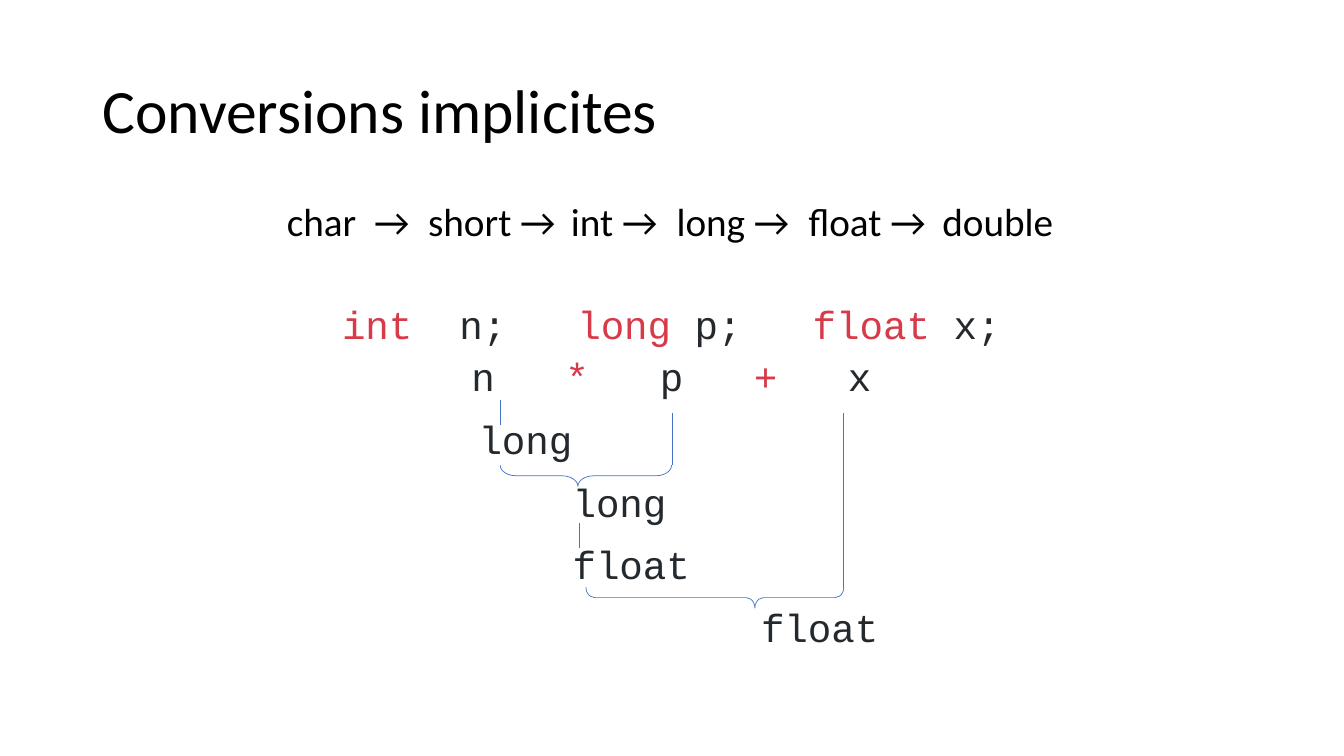
from dataclasses import dataclass
from typing import Any

from lxml import etree
from pptx import Presentation
from pptx.dml.color import RGBColor
from pptx.enum.shapes import MSO_CONNECTOR, MSO_SHAPE
from pptx.enum.text import MSO_ANCHOR
from pptx.oxml.ns import qn
from pptx.util import Cm, Pt

STRAIGHT = MSO_CONNECTOR.STRAIGHT
RIGHT_BRACE = MSO_SHAPE.RIGHT_BRACE
TOP, MIDDLE = MSO_ANCHOR.TOP, MSO_ANCHOR.MIDDLE


@dataclass(frozen=True)
class Theme:
    title_size: float = 44
    body_size: float = 28
    line_width: float = 0.5
    text_font: str = "Calibri"
    code_font: str = "Courier New"
    black: str = "000000"
    code: str = "24292E"
    keyword: str = "D73A49"
    line: str = "4472C4"


@dataclass(frozen=True)
class Segment:
    stop: float
    text: str
    color: str
    suffix: str = ""


@dataclass(frozen=True)
class TextLine:
    segments: list[Segment]
    space_before: float
    font: str


@dataclass(frozen=True)
class Brace:
    left: float
    top: float
    width: float
    height: float
    curve: float
    point: float


@dataclass(frozen=True)
class Stem:
    x: float
    top: float
    bottom: float


THEME = Theme()
CODE_LEFT = 6.04
CHARACTER_WIDTH = 0.593


def code(column: float, text: str, color: str = THEME.code, suffix: str = "") -> Segment:
    return Segment(round(CODE_LEFT + column * CHARACTER_WIDTH, 2), text, color, suffix)


PROMOTIONS = [(4.65, "char"), (6.85, "→"), (8.21, "short →"), (11.81, "int →"),
              (14.47, "long →"), (17.8, "float →"), (21.17, "double")]
DECLARATIONS = [
    code(0, "int", THEME.keyword),
    code(5, "n;"),
    code(10, "long", THEME.keyword, " p;"),
    code(20, "float", THEME.keyword, " x;"),
]
EXPRESSION = [
    code(5.5 + 4 * index, symbol, THEME.keyword if symbol in "*+" else THEME.code)
    for index, symbol in enumerate("n*p+x")
]
RESULTS = [(5.8, "long"), (9.8, "long"), (9.8, "float"), (17.8, "float")]
LINES = [
    TextLine([Segment(stop, text, THEME.black) for stop, text in PROMOTIONS],
             10, THEME.text_font),
    TextLine(DECLARATIONS, 47, THEME.code_font),
    TextLine(EXPRESSION, 10, THEME.code_font),
    *[TextLine([code(column, text)], 18, THEME.code_font) for column, text in RESULTS],
]
BRACES = [
    Brace(14.5, 9.83, 0.53, 4.32, 0.755, 0.547),
    Brace(17.75, 11.81, 0.53, 6.5, 0.408, 0.345),
]
STEMS = [
    Stem(16.94, 10.41, 11.71),
    Stem(21.26, 10.41, 14.81),
    Stem(14.61, 13.18, 13.82),
    Stem(12.62, 10.08, 10.72),
]


def add_span(para: Any, text: str, *, font: str, size: float, color: str) -> None:
    span = para.add_run()
    span.text = text
    span.font.name = font
    span.font.size = Pt(size)
    span.font.color.rgb = RGBColor.from_string(color)


def add_box(page: Any, top: float, height: float, anchor: MSO_ANCHOR) -> Any:
    frame = page.shapes.add_textbox(Cm(2.33), Cm(top), Cm(29.21), Cm(height)).text_frame
    frame.word_wrap = True
    frame.vertical_anchor = anchor
    return frame


def set_tab_stops(para: Any, stops: list[float]) -> None:
    properties = para._p.get_or_add_pPr()
    tab_list = etree.SubElement(properties, qn("a:tabLst"))
    for stop in stops:
        etree.SubElement(tab_list, qn("a:tab"), pos=str(Cm(stop)), algn="l")


def add_text_line(para: Any, line: TextLine) -> None:
    para.line_spacing = 0.8
    para.space_before = Pt(line.space_before)
    set_tab_stops(para, [segment.stop for segment in line.segments])
    for segment in line.segments:
        add_span(para, "\t" + segment.text, font=line.font,
                 size=THEME.body_size, color=segment.color)
        if segment.suffix:
            add_span(para, segment.suffix, font=line.font,
                     size=THEME.body_size, color=THEME.code)


def style_line(shape: Any) -> None:
    shape.line.color.rgb = RGBColor.from_string(THEME.line)
    shape.line.width = Pt(THEME.line_width)


def add_brace(page: Any, brace: Brace) -> None:
    shape = page.shapes.add_shape(RIGHT_BRACE, Cm(brace.left), Cm(brace.top),
                                  Cm(brace.width), Cm(brace.height))
    shape.rotation = 90
    shape.adjustments[0] = brace.curve
    shape.adjustments[1] = brace.point
    shape.fill.background()
    shape.shadow.inherit = False
    style_line(shape)


def add_stem(page: Any, stem: Stem) -> None:
    connector = page.shapes.add_connector(STRAIGHT, Cm(stem.x), Cm(stem.top),
                                          Cm(stem.x), Cm(stem.bottom))
    style_line(connector)
    etree.SubElement(connector._element.spPr, qn("a:effectLst"))


def main() -> None:
    deck = Presentation()
    deck.slide_width, deck.slide_height = Cm(33.87), Cm(19.05)
    page = deck.slides.add_slide(deck.slide_layouts[6])

    title = add_box(page, 1.01, 3.68, MIDDLE).paragraphs[0]
    title.line_spacing = 0.9
    add_span(title, "Conversions implicites", font=THEME.text_font,
             size=THEME.title_size, color=THEME.black)

    body = add_box(page, 5.07, 12.09, TOP)
    for index, line in enumerate(LINES):
        add_text_line(body.add_paragraph() if index else body.paragraphs[0], line)
    for brace in BRACES:
        add_brace(page, brace)
    for stem in STEMS:
        add_stem(page, stem)
    deck.save("out.pptx")


if __name__ == "__main__":
    main()
